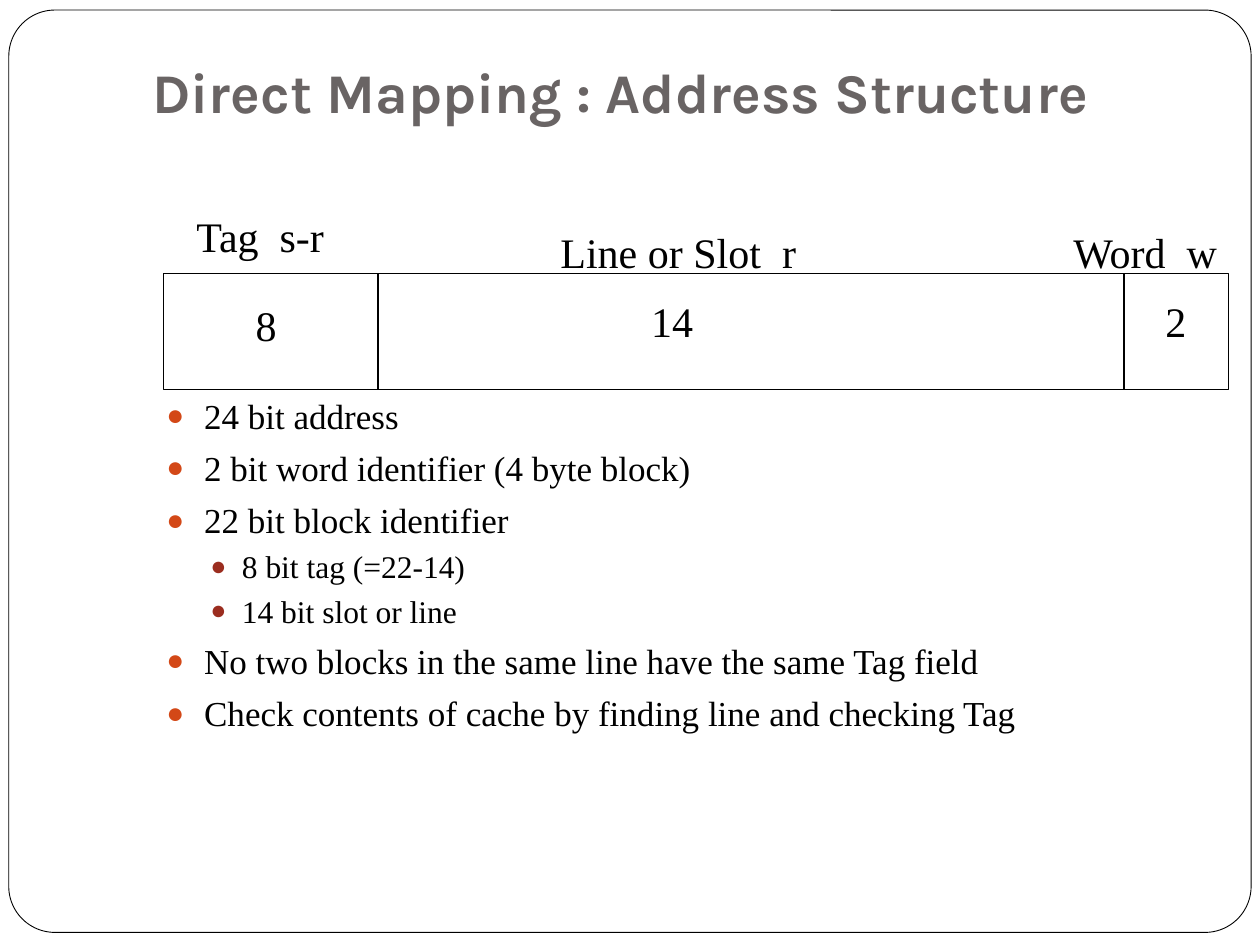
import lxml.etree
import pptx
import pptx.dml.color
import pptx.enum.shapes
import pptx.enum.text
import pptx.oxml.ns
import pptx.util

Inches = pptx.util.Inches
Pt = pptx.util.Pt
SERIF = "Times New Roman"
BLACK = "000000"


def color(value):
    """Turn a hex string into a colour."""
    return pptx.dml.color.RGBColor.from_string(value)


class SlideBuilder:
    """Hold the text style and the current slide."""

    def __init__(self, s):
        """Keep the slide and the default font values."""
        self.s = s
        self.style = {"name": SERIF, "size": Pt(24), "bold": False}

    def add_text(self, p, text, hex_color=BLACK, **changes):
        """Add one styled run to a paragraph."""
        r = p.add_run()
        r.text = text
        for key, value in {**self.style, **changes}.items():
            setattr(r.font, key, value)
        r.font.color.rgb = color(hex_color)

    def place(self, sp, box):
        """Move a shape to a box given in inches."""
        for key, value in zip(("left", "top", "width", "height"), box):
            setattr(sp, key, Inches(value))

    def shape(self, kind, box, width, fill=None):
        """Add an outlined preset shape."""
        sp = self.s.shapes.add_shape(kind, *map(Inches, box))
        sp.shadow.inherit = False
        if fill:
            sp.fill.solid()
            sp.fill.fore_color.rgb = color(fill)
        else:
            sp.fill.background()
        sp.line.color.rgb = color(BLACK)
        sp.line.width = Pt(width)
        return sp

    def frame(self, box, radius):
        """Add the rounded slide border behind everything else."""
        sp = self.shape(pptx.enum.shapes.MSO_SHAPE.ROUNDED_RECTANGLE, box, 0.5, "FFFFFF")
        sp.adjustments[0] = radius
        self.s.shapes.element.insert(2, sp.element)

    def title(self, text, box):
        """Fill the title placeholder."""
        sp = self.s.shapes.title
        self.place(sp, box)
        tf = sp.text_frame
        tf.vertical_anchor = pptx.enum.text.MSO_ANCHOR.BOTTOM
        tf.margin_bottom = Inches(0.1)
        p = tf.paragraphs[0]
        p.alignment = pptx.enum.text.PP_ALIGN.CENTER
        self.add_text(p, text, "696464", name="Karla", size=Pt(32), bold=True)

    def bullet(self, p, hex_color, left, hanging):
        """Give a paragraph a coloured bullet and a hanging indent."""
        pPr = p._p.get_or_add_pPr()
        pPr.set("marL", str(Inches(left)))
        pPr.set("indent", str(-Inches(hanging)))
        qn = pptx.oxml.ns.qn
        clr = lxml.etree.SubElement(pPr, qn("a:buClr"))
        lxml.etree.SubElement(clr, qn("a:srgbClr"), val=hex_color)
        lxml.etree.SubElement(pPr, qn("a:buSzPct"), val="85000")
        lxml.etree.SubElement(pPr, qn("a:buChar"), char="●")

    def body(self, items, box):
        """Fill the body placeholder with a two-level list."""
        levels = (
            {"bullet": ("D34817", 0.3, 0.3), "before": 5.8, "size": 20},
            {"bullet": ("9B2D1F", 0.6, 0.25), "before": 3.7, "size": 18},
        )
        sp = self.s.placeholders[1]
        self.place(sp, box)
        tf = sp.text_frame
        tf.auto_size = pptx.enum.text.MSO_AUTO_SIZE.NONE
        for i, (level, text) in enumerate(items):
            p = tf.add_paragraph() if i else tf.paragraphs[0]
            look = levels[level]
            p.level = level
            self.bullet(p, *look["bullet"])
            p.space_before = Pt(look["before"] if i else 0)
            self.add_text(p, text, size=Pt(look["size"]))

    def label(self, text, left, top, width):
        """Add a one-line text box."""
        sp = self.s.shapes.add_textbox(*map(Inches, (left, top, width, 0.5)))
        tf = sp.text_frame
        tf.word_wrap = False
        tf.auto_size = pptx.enum.text.MSO_AUTO_SIZE.SHAPE_TO_FIT_TEXT
        self.add_text(tf.paragraphs[0], text)

    def divider(self, x, top, bottom):
        """Add a vertical line."""
        cn = self.s.shapes.add_connector(
            pptx.enum.shapes.MSO_CONNECTOR.STRAIGHT,
            Inches(x), Inches(top), Inches(x), Inches(bottom))
        cn.line.color.rgb = color(BLACK)
        cn.line.width = Pt(0.75)
        lxml.etree.SubElement(cn.element.spPr, pptx.oxml.ns.qn("a:effectLst"))


def main():
    """Build the address structure slide."""
    prs = pptx.Presentation()
    prs.slide_width, prs.slide_height = Inches(10), Inches(7.5)
    b = SlideBuilder(prs.slides.add_slide(prs.slide_layouts[1]))
    b.frame((0.07, 0.08, 9.86, 7.32), 0.05)
    b.title("Direct Mapping : Address Structure", (0.44, 0.17, 8.97, 0.92))
    b.body([
        (0, "24 bit address"),
        (0, "2 bit word identifier (4 byte block)"),
        (0, "22 bit block identifier"),
        (1, "8 bit tag (=22-14)"),
        (1, "14 bit slot or line"),
        (0, "No two blocks in the same line have the same Tag field"),
        (0, "Check contents of cache by finding line and checking Tag"),
    ], (1.22, 3.08, 8.22, 3.54))

    top, height = 2.17, 0.92
    b.shape(pptx.enum.shapes.MSO_SHAPE.RECTANGLE, (1.3, top, 8.45, height), 0.75)
    for x in (3, 8.92):
        b.divider(x, top, top + height)
    for label in (
        ("Tag  s-r", 1.46, 1.62, 1.24),
        ("Line or Slot  r", 4.35, 1.75, 2.07),
        ("Word  w", 8.42, 1.75, 1.37),
        ("8", 1.93, 2.33, 0.37),
        ("14", 5.07, 2.3, 0.53),
        ("2", 9.15, 2.3, 0.37),
    ):
        b.label(*label)
    prs.save("out.pptx")


if __name__ == "__main__":
    main()
